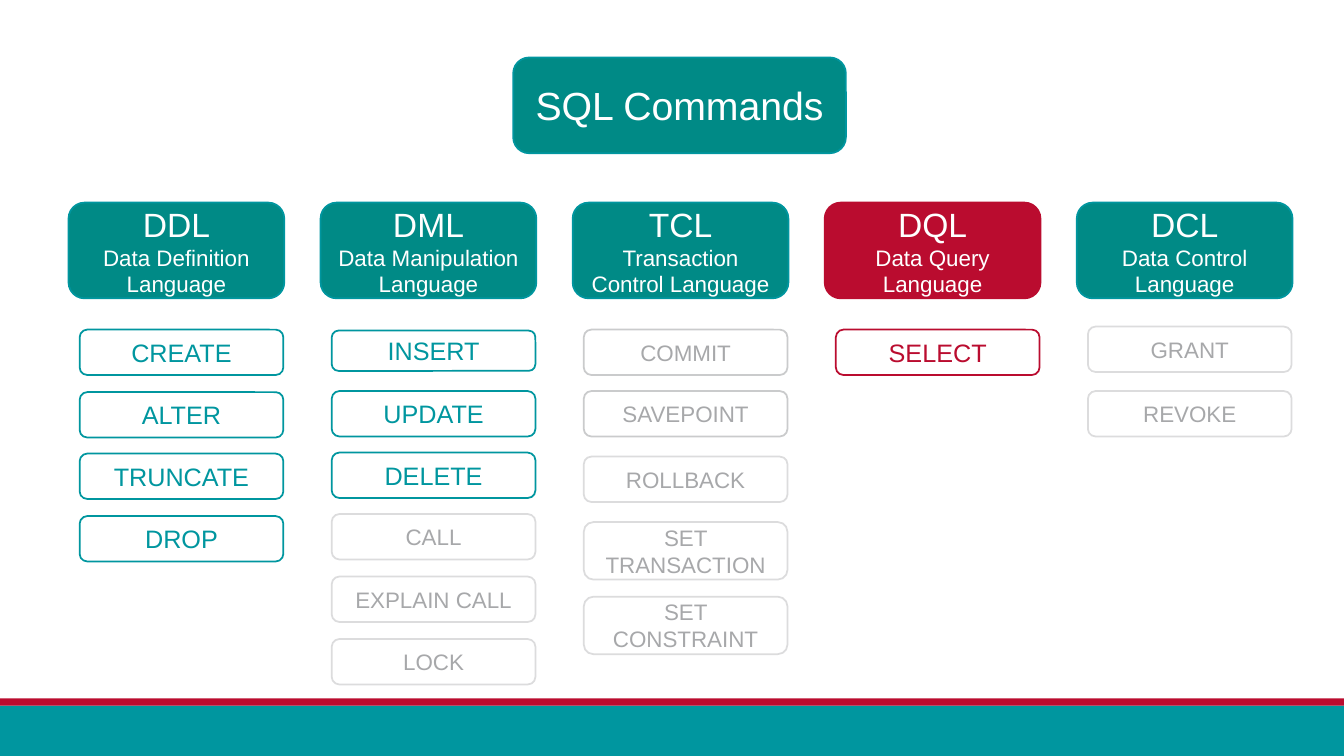
"""Build a slide that maps SQL commands to their five sublanguages."""
from pptx import Presentation
from pptx.dml.color import RGBColor
from pptx.enum.shapes import MSO_SHAPE
from pptx.enum.text import MSO_ANCHOR, PP_ALIGN
from pptx.util import Inches, Pt

RECTANGLE = MSO_SHAPE.RECTANGLE
ROUNDED = MSO_SHAPE.ROUNDED_RECTANGLE
MIDDLE = MSO_ANCHOR.MIDDLE
CENTER = PP_ALIGN.CENTER

WHITE = RGBColor(0xFF, 0xFF, 0xFF)
TEAL = RGBColor(0x00, 0x96, 0x9F)
DARK_TEAL = RGBColor(0x00, 0x8A, 0x86)
RED = RGBColor(0xBA, 0x0C, 0x2F)
GRAY = RGBColor(0xA7, 0xA8, 0xAA)
MID_GRAY = RGBColor(0xCA, 0xCB, 0xCC)
PALE_GRAY = RGBColor(0xDC, 0xDC, 0xDD)

FIRST_LEFT, COLUMN_PITCH = 0.68, 2.5
HEADER_WIDTH, HEADER_HEIGHT = 2.14, 0.95
COMMAND_INDENT, COMMAND_WIDTH = 0.11, 2.02

ACTIVE = (TEAL, TEAL, 18)
QUERY = (RED, RED, 18)
MUTED = (PALE_GRAY, GRAY, 16)
MUTED_DARK = (MID_GRAY, GRAY, 16)

LANGUAGES = [
    ("DDL", "Data Definition Language", DARK_TEAL, TEAL, [
        ("CREATE", 3.27, 0.45, ACTIVE),
        ("ALTER", 3.89, 0.45, ACTIVE),
        ("TRUNCATE", 4.5, 0.45, ACTIVE),
        ("DROP", 5.12, 0.45, ACTIVE),
    ]),
    ("DML", "Data Manipulation Language", DARK_TEAL, TEAL, [
        ("INSERT", 3.28, 0.4, ACTIVE),
        ("UPDATE", 3.88, 0.45, ACTIVE),
        ("DELETE", 4.49, 0.45, ACTIVE),
        ("CALL", 5.1, 0.45, MUTED),
        ("EXPLAIN CALL", 5.72, 0.45, MUTED),
        ("LOCK", 6.34, 0.45, MUTED),
    ]),
    ("TCL", "Transaction Control Language", DARK_TEAL, TEAL, [
        ("COMMIT", 3.27, 0.45, MUTED_DARK),
        ("SAVEPOINT", 3.88, 0.45, MUTED_DARK),
        ("ROLLBACK", 4.53, 0.45, MUTED),
        ("SET TRANSACTION", 5.18, 0.57, MUTED),
        ("SET CONSTRAINT", 5.92, 0.57, MUTED),
    ]),
    ("DQL", "Data Query Language", RED, RED, [
        ("SELECT", 3.27, 0.45, QUERY),
    ]),
    ("DCL", "Data Control Language", DARK_TEAL, TEAL, [
        ("GRANT", 3.24, 0.45, MUTED),
        ("REVOKE", 3.88, 0.45, MUTED),
    ]),
]

deck = Presentation()
deck.slide_width = Inches(13.33)
deck.slide_height = Inches(7.5)
page = deck.slides.add_slide(deck.slide_layouts[6])


def add_box(left, top, width, height, fill, line, color, lines):
    """Add a rounded box with one centred paragraph per (text, size) pair."""
    box = page.shapes.add_shape(
        ROUNDED, Inches(left), Inches(top), Inches(width), Inches(height))
    box.shadow.inherit = False
    box.fill.solid()
    box.fill.fore_color.rgb = fill
    box.line.color.rgb = line
    box.line.width = Pt(1.25)
    frame = box.text_frame
    frame.word_wrap = True
    frame.vertical_anchor = MIDDLE
    for index, (text, size) in enumerate(lines):
        para = frame.add_paragraph() if index else frame.paragraphs[0]
        para.alignment = CENTER
        span = para.add_run()
        span.text = text
        span.font.name = "Arial"
        span.font.size = Pt(size)
        span.font.color.rgb = color


for top, height, color in [(7, 0.5, TEAL), (6.93, 0.07, RED)]:
    band = page.shapes.add_shape(
        RECTANGLE, 0, Inches(top), deck.slide_width, Inches(height))
    band.shadow.inherit = False
    band.fill.solid()
    band.fill.fore_color.rgb = color
    band.line.fill.background()

add_box(5.09, 0.57, 3.3, HEADER_HEIGHT, DARK_TEAL, TEAL, WHITE,
        [("SQL Commands", 28)])

for column, (short, name, fill, line, commands) in enumerate(LANGUAGES):
    left = FIRST_LEFT + column * COLUMN_PITCH
    add_box(left, 2.01, HEADER_WIDTH, HEADER_HEIGHT, fill, line, WHITE,
            [(short, 24), (name, 16)])
    for command, top, height, (border, color, size) in commands:
        add_box(left + COMMAND_INDENT, top, COMMAND_WIDTH, height,
                WHITE, border, color, [(command, size)])

deck.save("out.pptx")
